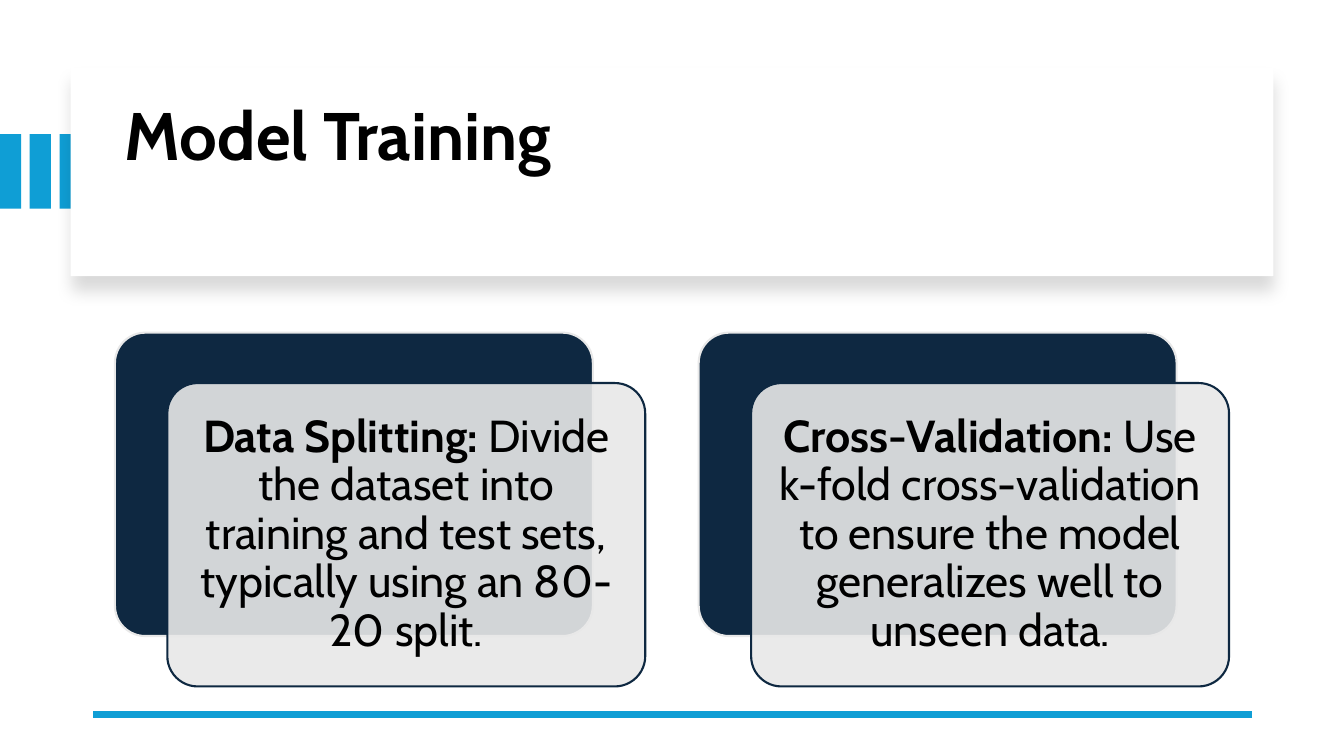
from dataclasses import dataclass

from lxml import etree
from pptx import Presentation
from pptx import util as u
from pptx.dml import color
from pptx.enum import shapes, text
from pptx.oxml import ns

COLORS = {"accent": "0F9ED5", "navy": "0E2841", "pale": "E8E8E8",
          "white": "FFFFFF", "black": "000000"}
FONT = "Cabin"


@dataclass
class Card:
    heading: str
    body: str


CARDS = [
    Card("Data Splitting:",
         " Divide the dataset into training and test sets, typically using an 80-20 split."),
    Card("Cross-Validation:",
         " Use k-fold cross-validation to ensure the model generalizes well to unseen data."),
]
CARD_LEFT, CARD_TOP, CARD_STEP = 1.14, 3.3, 5.79
CARD_WIDTH, CARD_HEIGHT = 4.74, 3.01
FRONT_SHIFT_X, FRONT_SHIFT_Y = 0.52, 0.5


def rgb(name: str) -> color.RGBColor:
    return color.RGBColor.from_string(COLORS[name])


def add_block(slide, kind, left: float, top: float, width: float, height: float,
              fill: str, line: str | None = None):
    """Add a filled shape without shadow, outlined only when a line colour is given."""
    block = slide.shapes.add_shape(kind, *map(u.Inches, (left, top, width, height)))
    block.shadow.inherit = False
    block.fill.solid()
    block.fill.fore_color.rgb = rgb(fill)
    if line:
        block.line.color.rgb = rgb(line)
        block.line.width = u.Pt(1.5)
    else:
        block.line.fill.background()
    return block


def add_run(paragraph, words: str, size: float, bold: bool) -> None:
    run = paragraph.add_run()
    run.text = words
    for name, value in {"name": FONT, "size": u.Pt(size), "bold": bold}.items():
        setattr(run.font, name, value)
    run.font.color.rgb = rgb("black")


def format_frame(frame, **margins: float) -> None:
    frame.word_wrap = True
    frame.vertical_anchor = text.MSO_ANCHOR.MIDDLE
    for side, inches in margins.items():
        setattr(frame, f"margin_{side}", u.Inches(inches))


def add_alpha(shape, percent: int) -> None:
    fill_color = shape.fill._xPr.find(ns.qn("a:solidFill"))[0]
    etree.SubElement(fill_color, ns.qn("a:alpha"), val=str(percent * 1000))


def add_soft_shadow(shape) -> None:
    effects = shape._element.spPr.find(ns.qn("a:effectLst"))
    shadow = etree.SubElement(effects, ns.qn("a:outerShdw"), blurRad=str(u.Pt(11)),
                              dist=str(u.Pt(10)), dir="5400000", algn="t", rotWithShape="0")
    shade = etree.SubElement(shadow, ns.qn("a:srgbClr"), val=COLORS["black"])
    etree.SubElement(shade, ns.qn("a:alpha"), val="15000")


def add_header(slide) -> None:
    for stripe in range(3):
        add_block(slide, shapes.MSO_SHAPE.RECTANGLE, stripe * 0.295, 1.33, 0.21, 0.74, "accent")
    banner = add_block(slide, shapes.MSO_SHAPE.RECTANGLE, 0.7, 0.67, 11.93, 2.07, "white")
    add_soft_shadow(banner)
    title = slide.shapes.add_textbox(*map(u.Inches, (1.14, 0.89, 11.13, 1.7))).text_frame
    format_frame(title, bottom=0.78)
    title.paragraphs[0].line_spacing = 0.9
    add_run(title.paragraphs[0], "Model Training", 48, True)


def add_footer_rule(slide) -> None:
    rule = slide.shapes.add_connector(shapes.MSO_CONNECTOR.STRAIGHT,
                                      *map(u.Inches, (12.42, 7.09, 0.92, 7.09)))
    rule.line.color.rgb = rgb("accent")
    rule.line.width = u.Pt(4.5)
    etree.SubElement(rule._element.spPr, ns.qn("a:effectLst"))


def add_card(slide, card: Card, left: float) -> None:
    """Add a dark backing panel and a translucent text panel shifted over it."""
    kind = shapes.MSO_SHAPE.ROUNDED_RECTANGLE
    back = add_block(slide, kind, left, CARD_TOP, CARD_WIDTH, CARD_HEIGHT, "navy", "pale")
    front = add_block(slide, kind, left + FRONT_SHIFT_X, CARD_TOP + FRONT_SHIFT_Y,
                      CARD_WIDTH, CARD_HEIGHT, "pale", "navy")
    for panel in (back, front):
        panel.adjustments[0] = 0.1
    add_alpha(front, 90)
    format_frame(front.text_frame, left=0.13, top=0.13, right=0.13, bottom=0.13)
    paragraph = front.text_frame.paragraphs[0]
    paragraph.alignment = text.PP_ALIGN.CENTER
    paragraph.line_spacing = 0.9
    add_run(paragraph, card.heading, 32, True)
    add_run(paragraph, card.body, 32, False)


def main() -> None:
    deck = Presentation()
    deck.slide_width, deck.slide_height = u.Inches(13.33), u.Inches(7.5)
    slide = deck.slides.add_slide(deck.slide_layouts[6])
    add_header(slide)
    add_footer_rule(slide)
    for index, card in enumerate(CARDS):
        add_card(slide, card, CARD_LEFT + index * CARD_STEP)
    deck.save("out.pptx")


if __name__ == "__main__":
    main()
